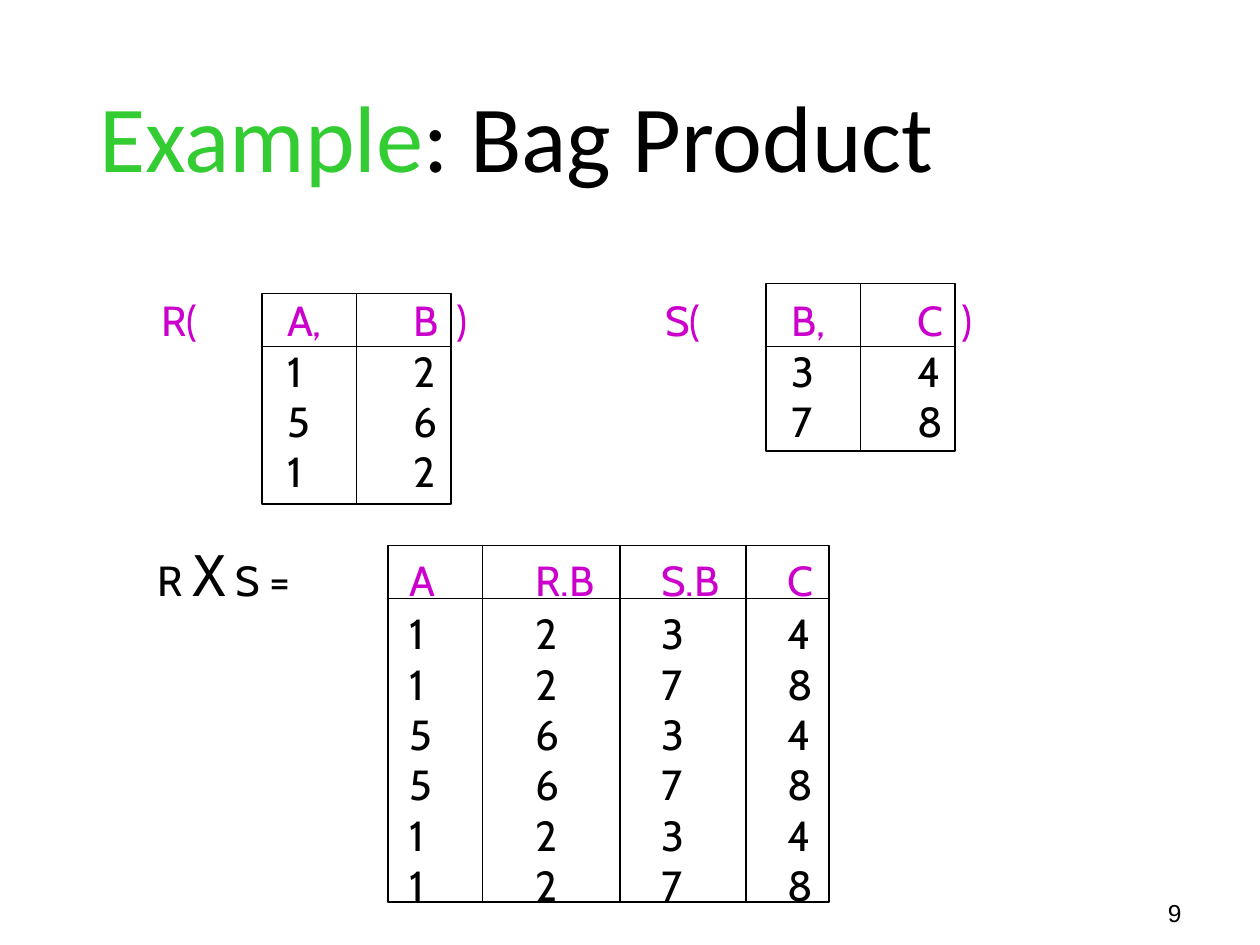
from lxml import etree
from pptx import Presentation
from pptx.dml.color import RGBColor
from pptx.enum import shapes, text
from pptx.oxml.ns import qn
from pptx.util import Inches, Pt

COLORS = {"ink": "000000", "green": "33CC33", "pink": "CC00CC"}

# A run is (text, font, size, colour); a paragraph is a list of runs.
TITLE = [[("Example", "Calibri", 54, "green"),
          (": Bag Product", "Calibri", 54, "ink")]]
NUMBER = [[("9", "Arial", 14, "ink")]]

INPUT_HEAD = [("R(\tA,\tB  )\t\tS(\tB,\tC  )", "Cabin", 24, "pink")]
INPUT_ROWS = ["\t1\t2\t\t\t3\t4", "\t5\t6\t\t\t7\t8", "\t1\t2"]

PRODUCT_HEAD = [("R ", "Cabin", 24, "ink"),
                ("Χ", "DejaVu Sans Mono", 32, "ink"),
                (" S =\t", "Cabin", 24, "ink"),
                ("A\tR.B\tS.B\tC", "Cabin", 24, "pink")]
PRODUCT = [(1, 2, 3, 4), (1, 2, 7, 8), (5, 6, 3, 4),
           (5, 6, 7, 8), (1, 2, 3, 4), (1, 2, 7, 8)]
PRODUCT_ROWS = ["\t\t" + "\t".join(map(str, row)) for row in PRODUCT]

# Each grid: left, top, width, height, y of the header rule, x of the columns
GRIDS = [(2.08, 2.33, 1.5, 1.67, 2.75, [2.83]),
         (6.08, 2.25, 1.5, 1.33, 2.75, [6.83]),
         (3.08, 4.33, 3.5, 2.83, 4.75, [3.83, 4.92, 5.92])]

prs = Presentation()
prs.slide_width, prs.slide_height = Inches(10), Inches(7.5)
slide = prs.slides.add_slide(prs.slide_layouts[6])


def color(name):
    return RGBColor.from_string(COLORS[name])


def plain(rows):
    return [[(row, "Cabin", 24, "ink")] for row in rows]


def add_text(box, paras, wrap=True, grow=True, tab=1, line=None, before=None):
    """Add a text box with tab stops every `tab` inches."""
    frame = slide.shapes.add_textbox(*map(Inches, box)).text_frame
    frame.word_wrap = wrap
    if grow:
        frame.auto_size = text.MSO_AUTO_SIZE.SHAPE_TO_FIT_TEXT
    for i, runs in enumerate(paras):
        para = frame.add_paragraph() if i else frame.paragraphs[0]
        if line:
            para.line_spacing = line
        if before:
            para.space_before = Pt(before)
        stops = etree.SubElement(para._p.get_or_add_pPr(), qn("a:tabLst"))
        for n in range(8):
            etree.SubElement(stops, qn("a:tab"),
                             pos=str(Inches(n * tab)), algn="l")
        for words, font, size, tint in runs:
            run = para.add_run()
            run.text = words
            run.font.name = font
            run.font.size = Pt(size)
            run.font.color.rgb = color(tint)
    return frame


def add_rule(x1, y1, x2, y2):
    rule = slide.shapes.add_connector(
        shapes.MSO_CONNECTOR.STRAIGHT, *map(Inches, (x1, y1, x2, y2)))
    rule.line.color.rgb = color("ink")
    rule.line.width = Pt(0.75)
    etree.SubElement(rule._element.spPr, qn("a:effectLst"))
    return rule


def add_grid(left, top, width, height, head, cols):
    frame = slide.shapes.add_shape(
        shapes.MSO_SHAPE.RECTANGLE, *map(Inches, (left, top, width, height)))
    frame.shadow.inherit = False
    frame.fill.background()
    frame.line.color.rgb = color("ink")
    frame.line.width = Pt(0.75)
    add_rule(left, head, left + width, head)
    for x in cols:
        rule = add_rule(x, top, x, top + height)
        if abs(x - left - width / 2) < 0.01:
            rule.begin_connect(frame, 0)
            rule.end_connect(frame, 2)


add_text((9.17, 7.08, 0.58, 0.34), NUMBER, before=8.8)
title = add_text((0.69, 0.4, 8.63, 1.45), TITLE, grow=False, tab=0.75, line=0.9)
title.vertical_anchor = text.MSO_ANCHOR.MIDDLE
add_text((1.18, 2.29, 6.68, 1.7), [INPUT_HEAD] + plain(INPUT_ROWS), wrap=False)
add_text((1.15, 4.24, 5.41, 3.04), [PRODUCT_HEAD] + plain(PRODUCT_ROWS),
         wrap=False)
for grid in GRIDS:
    add_grid(*grid)

prs.save("out.pptx")
